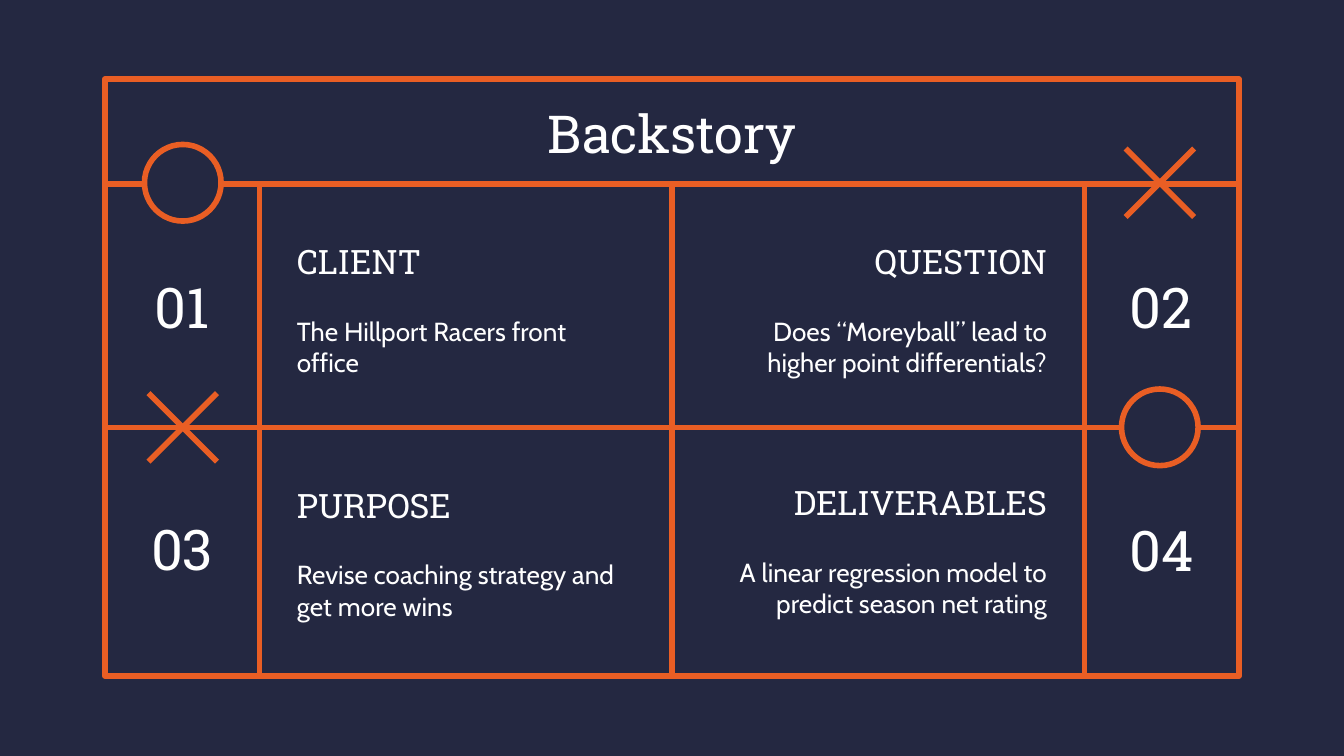
from lxml import etree
from pptx import Presentation
from pptx.dml.color import RGBColor
from pptx.enum import shapes, text
from pptx.oxml.ns import qn
from pptx.util import Inches, Pt

NAVY, ORANGE, WHITE = "242841", "E95E24", "FFFFFF"
SERIF, SANS = "Roboto Slab", "Cabin"
LEFT, CENTER, RIGHT = text.PP_ALIGN.LEFT, text.PP_ALIGN.CENTER, text.PP_ALIGN.RIGHT

TITLE = "Backstory"
CELLS = [
    {"number": "01", "heading": "CLIENT", "body": "The Hillport Racers front office",
     "mark": "circle", "heading_top": 1.66, "number_at": (0.9, 1.99)},
    {"number": "02", "heading": "QUESTION",
     "body": "Does “Moreyball” lead to higher point differentials?",
     "mark": "cross", "heading_top": 1.66, "number_at": (8.18, 1.99)},
    {"number": "03", "heading": "PURPOSE", "body": "Revise coaching strategy and get more wins",
     "mark": "cross", "heading_top": 3.47, "number_at": (0.9, 3.79)},
    {"number": "04", "heading": "DELIVERABLES",
     "body": "A linear regression model to predict season net rating",
     "mark": "circle", "heading_top": 3.45, "number_at": (8.19, 3.8)},
]
FRAME_LEFT, FRAME_TOP, FRAME_WIDTH, FRAME_HEIGHT = 0.78, 0.59, 8.44, 4.44
FRAME_RIGHT, FRAME_BOTTOM = FRAME_LEFT + FRAME_WIDTH, FRAME_TOP + FRAME_HEIGHT
ROW_LINES = [1.37, 3.18]
COLUMN_LINES = [1.93, 5, 8.07]
SIDES = [
    {"align": LEFT, "text_left": 2.11, "mark_x": 1.36},
    {"align": RIGHT, "text_left": 5.21, "mark_x": 8.63},
]
MARK_Y = [1.36, 3.18]
CIRCLE_SIZE, CROSS_SIZE = 0.57, 0.51


def color(value):
    return RGBColor.from_string(value)


def style_line(line):
    line.color.rgb = color(ORANGE)
    line.width = Pt(3)


def add_line(slide, x1, y1, x2, y2):
    line = slide.shapes.add_connector(
        shapes.MSO_CONNECTOR.STRAIGHT, Inches(x1), Inches(y1), Inches(x2), Inches(y2))
    style_line(line.line)
    etree.SubElement(line._element.spPr, qn("a:effectLst"))


def add_outline(slide, kind, left, top, width, height, fill=None):
    shape = slide.shapes.add_shape(
        kind, Inches(left), Inches(top), Inches(width), Inches(height))
    shape.shadow.inherit = False
    style_line(shape.line)
    if fill:
        shape.fill.solid()
        shape.fill.fore_color.rgb = color(fill)
    else:
        shape.fill.background()


def add_mark(slide, kind, x, y):
    if kind == "circle":
        half = CIRCLE_SIZE / 2
        add_outline(slide, shapes.MSO_SHAPE.OVAL, x - half, y - half,
                    CIRCLE_SIZE, CIRCLE_SIZE, NAVY)
    else:
        half = CROSS_SIZE / 2
        add_line(slide, x - half, y - half, x + half, y + half)
        add_line(slide, x + half, y - half, x - half, y + half)


def write(box, words, place, size, font, align):
    box.left, box.top, box.width, box.height = (Inches(value) for value in place)
    frame = box.text_frame
    frame.word_wrap = True
    frame.auto_size = text.MSO_AUTO_SIZE.NONE
    frame.vertical_anchor = text.MSO_ANCHOR.MIDDLE
    frame.margin_left = frame.margin_right = Inches(0.1)
    frame.margin_top = frame.margin_bottom = Inches(0.1)
    para = frame.paragraphs[0]
    para.alignment = align
    para.line_spacing = 1.0
    para.space_before = Pt(0)
    span = para.add_run()
    span.text = words
    span.font.size = Pt(size)
    span.font.name = font
    span.font.color.rgb = color(WHITE)


def add_text(slide, words, place, size, font, align):
    box = slide.shapes.add_textbox(0, 0, 0, 0)
    write(box, words, place, size, font, align)


def main():
    deck = Presentation()
    deck.slide_width = Inches(10)
    deck.slide_height = deck.slide_width * 9 // 16
    slide = deck.slides.add_slide(deck.slide_layouts[5])
    slide.background.fill.solid()
    slide.background.fill.fore_color.rgb = color(NAVY)

    add_outline(slide, shapes.MSO_SHAPE.RECTANGLE,
                FRAME_LEFT, FRAME_TOP, FRAME_WIDTH, FRAME_HEIGHT)
    for y in ROW_LINES:
        add_line(slide, FRAME_LEFT, y, FRAME_RIGHT, y)
    for x in COLUMN_LINES:
        add_line(slide, x, ROW_LINES[0], x, FRAME_BOTTOM)

    write(slide.shapes.title, TITLE, (FRAME_LEFT, 0.67, FRAME_WIDTH, 0.63), 28, SERIF, CENTER)
    for index, cell in enumerate(CELLS):
        row, column = divmod(index, 2)
        side = SIDES[column]
        left, top = side["text_left"], cell["heading_top"]
        add_text(slide, cell["heading"], (left, top, 2.68, 0.57), 18, SERIF, side["align"])
        add_text(slide, cell["body"], (left, top + 0.57, 2.68, 0.7), 14, SANS, side["align"])
        add_text(slide, cell["number"], (*cell["number_at"], 0.91, 0.57), 30, SERIF, CENTER)
        add_mark(slide, cell["mark"], side["mark_x"], MARK_Y[row])

    deck.save("out.pptx")


if __name__ == "__main__":
    main()
